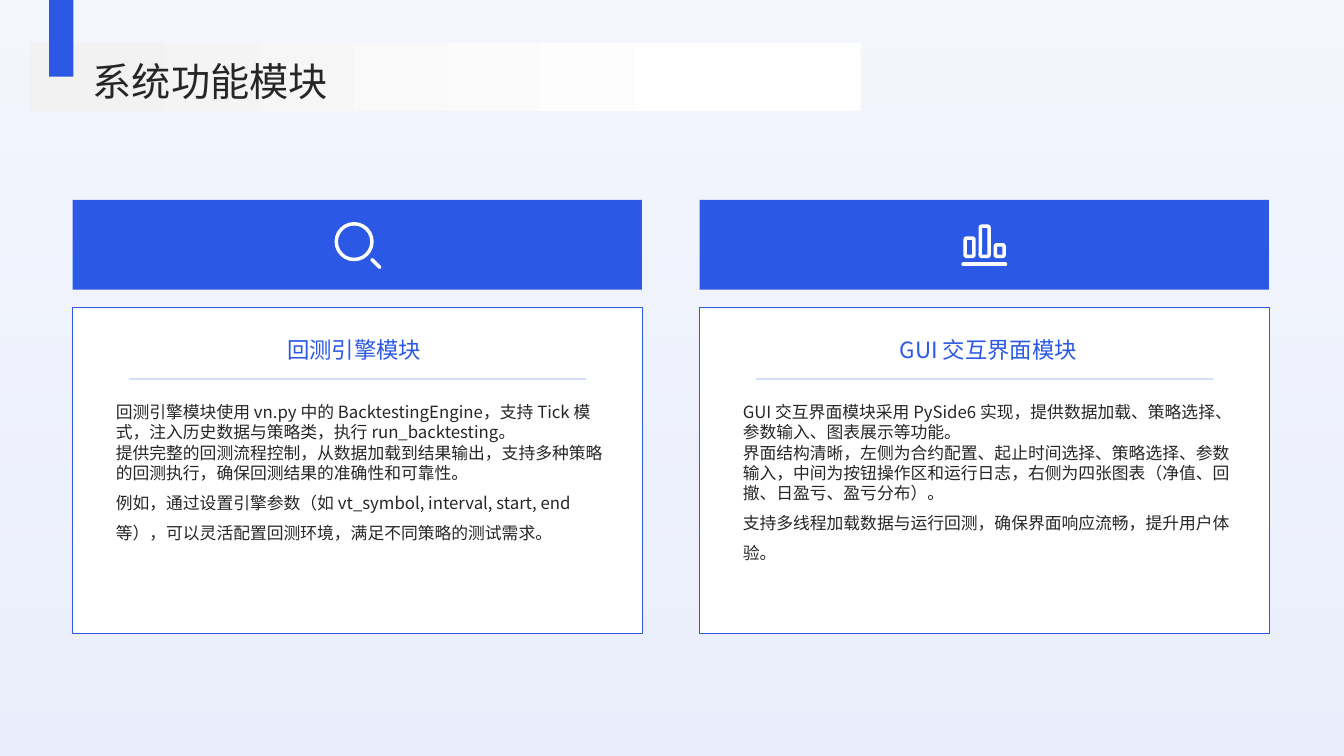
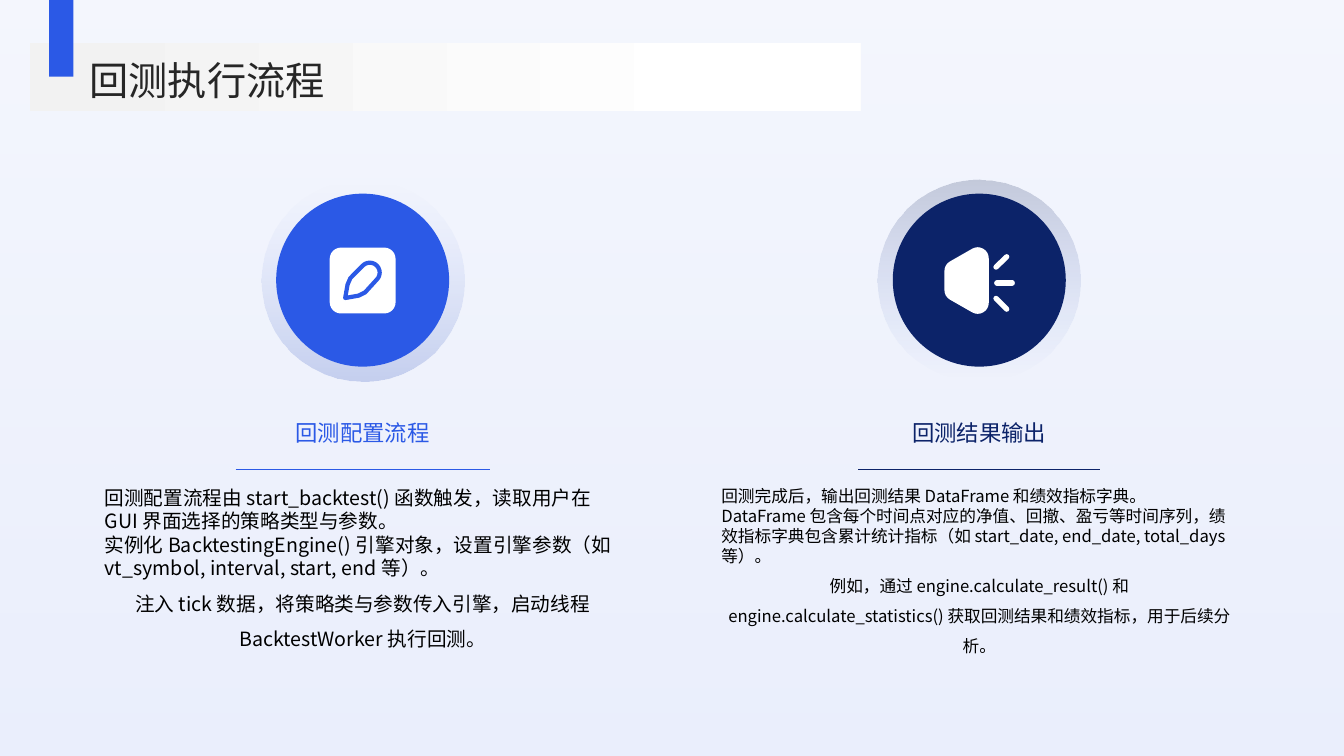
"""Build two slides on the modules and the run flow of a backtesting system."""
from math import cos, radians, sin

from lxml import etree
from pptx import Presentation
from pptx.dml.color import RGBColor
from pptx.enum.shapes import MSO_CONNECTOR, MSO_SHAPE
from pptx.enum.text import MSO_ANCHOR, PP_ALIGN
from pptx.oxml.ns import qn
from pptx.util import Cm, Pt

RECTANGLE, ROUNDED, OVAL = MSO_SHAPE.RECTANGLE, MSO_SHAPE.ROUNDED_RECTANGLE, MSO_SHAPE.OVAL
STRAIGHT = MSO_CONNECTOR.STRAIGHT
LEFT, CENTER = PP_ALIGN.LEFT, PP_ALIGN.CENTER
TOP, MIDDLE = MSO_ANCHOR.TOP, MSO_ANCHOR.MIDDLE

FONT = "Noto Sans CJK SC"
BLUE, NAVY, PALE, WHITE = "2B59E6", "0C2369", "D5DEFA", "FFFFFF"
INK, BLACK = "262626", "000000"
WIDTH, HEIGHT = 33.87, 19.05

MODULES = {
    "title": "系统功能模块",
    "title_at": (2.34, 1.32),
    "cards": [
        {
            "heading": "回测引擎模块",
            "heading_left": 2.77,
            "icon": "search",
            "body": [
                "回测引擎模块使用 vn.py 中的 BacktestingEngine，支持 Tick 模式，注入历史数据与策略类，执行 run_backtesting。",
                "提供完整的回测流程控制，从数据加载到结果输出，支持多种策略的回测执行，确保回测结果的准确性和可靠性。",
                "例如，通过设置引擎参数（如 vt_symbol, interval, start, end 等），可以灵活配置回测环境，满足不同策略的测试需求。",
            ],
        },
        {
            "heading": "GUI 交互界面模块",
            "heading_left": 18.75,
            "icon": "bars",
            "body": [
                "GUI 交互界面模块采用 PySide6 实现，提供数据加载、策略选择、参数输入、图表展示等功能。",
                "界面结构清晰，左侧为合约配置、起止时间选择、策略选择、参数输入，中间为按钮操作区和运行日志，右侧为四张图表（净值、回撤、日盈亏、盈亏分布）。",
                "支持多线程加载数据与运行回测，确保界面响应流畅，提升用户体验。",
            ],
        },
    ],
}
FLOW = {
    "title": "回测执行流程",
    "title_at": (2.26, 1.3),
    "columns": [
        {
            "heading": "回测配置流程",
            "color": BLUE,
            "halo": ([(0, "809BF0", 0), (100, "163DB7", 20)], 90),
            "rule_width": 6.4,
            "size": 14,
            "icon": "edit",
            "body": [
                "回测配置流程由 start_backtest() 函数触发，读取用户在 GUI 界面选择的策略类型与参数。",
                "实例化 BacktestingEngine() 引擎对象，设置引擎参数（如 vt_symbol, interval, start, end 等）。",
                "注入 tick 数据，将策略类与参数传入引擎，启动线程 BacktestWorker 执行回测。",
            ],
        },
        {
            "heading": "回测结果输出",
            "color": NAVY,
            "halo": ([(0, "2B5AE7", 0), (100, "091A4F", 20)], 270),
            "rule_width": 6.1,
            "size": 11.9,
            "icon": "speaker",
            "body": [
                "回测完成后，输出回测结果 DataFrame 和绩效指标字典。",
                "DataFrame 包含每个时间点对应的净值、回撤、盈亏等时间序列，绩效指标字典包含累计统计指标（如 start_date, end_date, total_days 等）。",
                "例如，通过 engine.calculate_result() 和 engine.calculate_statistics() 获取回测结果和绩效指标，用于后续分析。",
            ],
        },
    ],
}


def rgb(value):
    """Turn a hex string into a colour."""
    return RGBColor.from_string(value)


def paint(shape, fill=None, line=None, weight=1):
    """Set the fill and outline of a shape and drop its shadow."""
    shape.shadow.inherit = False
    if fill:
        shape.fill.solid()
        shape.fill.fore_color.rgb = rgb(fill)
    else:
        shape.fill.background()
    if line:
        shape.line.color.rgb = rgb(line)
        shape.line.width = Pt(weight)
    else:
        shape.line.fill.background()
    return shape


def add_shape(slide, kind, left, top, width, height, **style):
    """Add a preset shape, measured in centimetres."""
    shape = slide.shapes.add_shape(kind, Cm(left), Cm(top), Cm(width), Cm(height))
    return paint(shape, **style)


def add_disc(slide, x, y, diameter, **style):
    """Add a circle around a centre."""
    return add_shape(slide, OVAL, x - diameter / 2, y - diameter / 2, diameter, diameter, **style)


def set_gradient(shape, stops, angle):
    """Fill a shape with (position, colour, opacity) stops in percent."""
    shape.fill.gradient()
    gradient = shape._element.spPr.find(qn("a:gradFill"))
    for child in list(gradient):
        gradient.remove(child)
    stop_list = etree.SubElement(gradient, qn("a:gsLst"))
    for position, color, opacity in stops:
        stop = etree.SubElement(stop_list, qn("a:gs"), pos=str(position * 1000))
        node = etree.SubElement(stop, qn("a:srgbClr"), val=color)
        etree.SubElement(node, qn("a:alpha"), val=str(opacity * 1000))
    etree.SubElement(gradient, qn("a:lin"), ang=str(angle * 60000), scaled="0")


def round_ends(shape):
    """Give a line round ends and joins."""
    line = shape.line._get_or_add_ln()
    line.set("cap", "rnd")
    etree.SubElement(line, qn("a:round"))


def add_line(slide, start, end, color, weight):
    """Add a straight line without a shadow."""
    line = slide.shapes.add_connector(STRAIGHT, *[Cm(value) for value in (*start, *end)])
    line.line.color.rgb = rgb(color)
    line.line.width = Pt(weight)
    etree.SubElement(line._element.spPr, qn("a:effectLst"))
    return line


def add_strokes(slide, x, y, segments, weight):
    """Add white round-ended strokes placed around a centre."""
    for x1, y1, x2, y2 in segments:
        line = slide.shapes.add_connector(
            STRAIGHT, Cm(x + x1), Cm(y + y1), Cm(x + x2), Cm(y + y2))
        line.line.color.rgb = rgb(WHITE)
        line.line.width = Pt(weight)
        round_ends(line)
        etree.SubElement(line._element.spPr, qn("a:effectLst"))


def add_outline(slide, x, y, points, **style):
    """Add a closed polygon with round joins around a centre."""
    corners = [(Cm(x + dx), Cm(y + dy)) for dx, dy in points]
    builder = slide.shapes.build_freeform(*corners[0], scale=1.0)
    builder.add_line_segments(corners[1:], close=True)
    round_ends(paint(builder.convert_to_shape(), **style))


def add_text(slide, lines, box, size, color, align=LEFT, anchor=TOP, spacing=1.0):
    """Add text whose last paragraph carries the alignment and spacing."""
    shape = slide.shapes.add_textbox(*[Cm(value) for value in box])
    frame = shape.text_frame
    frame.word_wrap = True
    frame.vertical_anchor = anchor
    frame.margin_left = frame.margin_right = frame.margin_top = frame.margin_bottom = 0
    for index, line in enumerate(lines):
        paragraph = frame.paragraphs[0] if index == 0 else frame.add_paragraph()
        last = index == len(lines) - 1
        paragraph.alignment = align if last else LEFT
        paragraph.line_spacing = spacing if last else 1.0
        run = paragraph.add_run()
        run.text = line
        run.font.size = Pt(size)
        run.font.name = FONT
        run.font.color.rgb = rgb(color)
        etree.SubElement(run._r.get_or_add_rPr(), qn("a:ea"), typeface=FONT)


def draw_search(slide, x, y, color):
    """Draw a magnifier."""
    add_disc(slide, x - 0.08, y - 0.08, 0.9, line=WHITE, weight=2.5)
    add_strokes(slide, x, y, [(0.37, 0.37, 0.57, 0.57)], 2.5)


def draw_bars(slide, x, y, color):
    """Draw three bars on a base line."""
    for index, height in enumerate((0.46, 0.76, 0.29)):
        add_shape(slide, ROUNDED, x - 0.48 + 0.38 * index, y + 0.29 - height, 0.22, height,
                  line=WHITE, weight=2.5)
    add_strokes(slide, x, y, [(-0.53, 0.49, 0.53, 0.49)], 2.8)


def draw_edit(slide, x, y, color):
    """Draw a pen on a rounded tile."""
    side = 1.66
    tile = add_shape(slide, ROUNDED, x - side / 2, y - side / 2, side, side, fill=WHITE)
    tile.adjustments[0] = 0.17
    cap = [(0.18 + 0.25 * cos(radians(angle)), -0.2 + 0.25 * sin(radians(angle)))
           for angle in range(-135, 46, 15)]
    pen = [(-0.44, 0.44), (-0.38, 0.1), (-0.31, -0.06), *cap, (0.06, 0.3), (-0.1, 0.38)]
    add_outline(slide, x, y, pen, line=color, weight=3)


def draw_speaker(slide, x, y, color):
    """Draw a loudspeaker with three rays."""
    cone = [(-0.6, -0.24), (-0.04, -0.56), (-0.04, 0.56), (-0.6, 0.24)]
    add_outline(slide, x, y, cone, fill=WHITE, line=WHITE, weight=15.8)
    rays = [(0.42, -0.34, 0.69, -0.6), (0.44, 0.06, 0.83, 0.06), (0.42, 0.45, 0.69, 0.72)]
    add_strokes(slide, x, y, rays, 3.8)


ICONS = {"search": draw_search, "bars": draw_bars, "edit": draw_edit, "speaker": draw_speaker}


def add_page(presentation):
    """Add a blank slide with the tinted background."""
    slide = presentation.slides.add_slide(presentation.slide_layouts[6])
    backdrop = add_shape(slide, RECTANGLE, 0, 0, WIDTH, HEIGHT)
    set_gradient(backdrop, [(0, PALE, 49), (100, PALE, 25)], 270)
    return slide


def add_title(slide, content):
    """Add the title band, its blue tab and the title."""
    band = add_shape(slide, RECTANGLE, 0.76, 1.09, 20.93, 1.7)
    set_gradient(band, [(5, "F2F2F2", 100), (84, WHITE, 100)], 0)
    add_shape(slide, RECTANGLE, 1.24, 0, 0.61, 1.93, fill=BLUE)
    add_text(slide, [content["title"]], (*content["title_at"], 29.72, 1.3), 28, INK,
             anchor=MIDDLE, spacing=1.1)


def build_modules(presentation):
    """Build the slide with two module cards."""
    slide = add_page(presentation)
    width, pitch = 14.35, 15.8
    for index, card in enumerate(MODULES["cards"]):
        left = 1.83 + pitch * index
        add_shape(slide, RECTANGLE, left, 7.73, width, 8.23, fill=WHITE, line=BLUE, weight=0.25)
        add_shape(slide, RECTANGLE, left, 5.04, width, 2.26, fill=BLUE)
        ICONS[card["icon"]](slide, left + width / 2, 6.17, BLUE)
        add_line(slide, (left + 1.42, 9.55), (left + width - 1.42, 9.55), PALE, 1)
        add_text(slide, [card["heading"]], (card["heading_left"], 7.67, 12.32, 1.93), 16, BLUE,
                 align=CENTER, anchor=MIDDLE, spacing=1.5)
        add_text(slide, card["body"], (left + 1.09, 10.13, 12.34, 4.5), 12, INK, spacing=1.5)
    add_title(slide, MODULES)


def build_flow(presentation):
    """Build the slide with two round-icon columns."""
    slide = add_page(presentation)
    width, pitch = 13, 15.54
    for index, column in enumerate(FLOW["columns"]):
        left = 2.64 + pitch * index
        center, color, half = left + width / 2, column["color"], column["rule_width"] / 2
        add_line(slide, (center - half, 11.83), (center + half, 11.83), color, 0.5)
        add_text(slide, [column["heading"]], (left, 10.21, width, 1.19), 16, color,
                 align=CENTER, anchor=MIDDLE, spacing=1.3)
        add_text(slide, column["body"], (left, 12.24, width, 4.7), column["size"], BLACK,
                 align=CENTER, spacing=1.5)
        set_gradient(add_disc(slide, center, 7.07, 5.11), *column["halo"])
        add_disc(slide, center, 7.06, 4.36, fill=color)
        ICONS[column["icon"]](slide, center, 7.07, color)
    add_title(slide, FLOW)


def main():
    """Build and save the presentation."""
    presentation = Presentation()
    presentation.slide_width, presentation.slide_height = Cm(WIDTH), Cm(HEIGHT)
    build_modules(presentation)
    build_flow(presentation)
    presentation.save("out.pptx")


if __name__ == "__main__":
    main()
